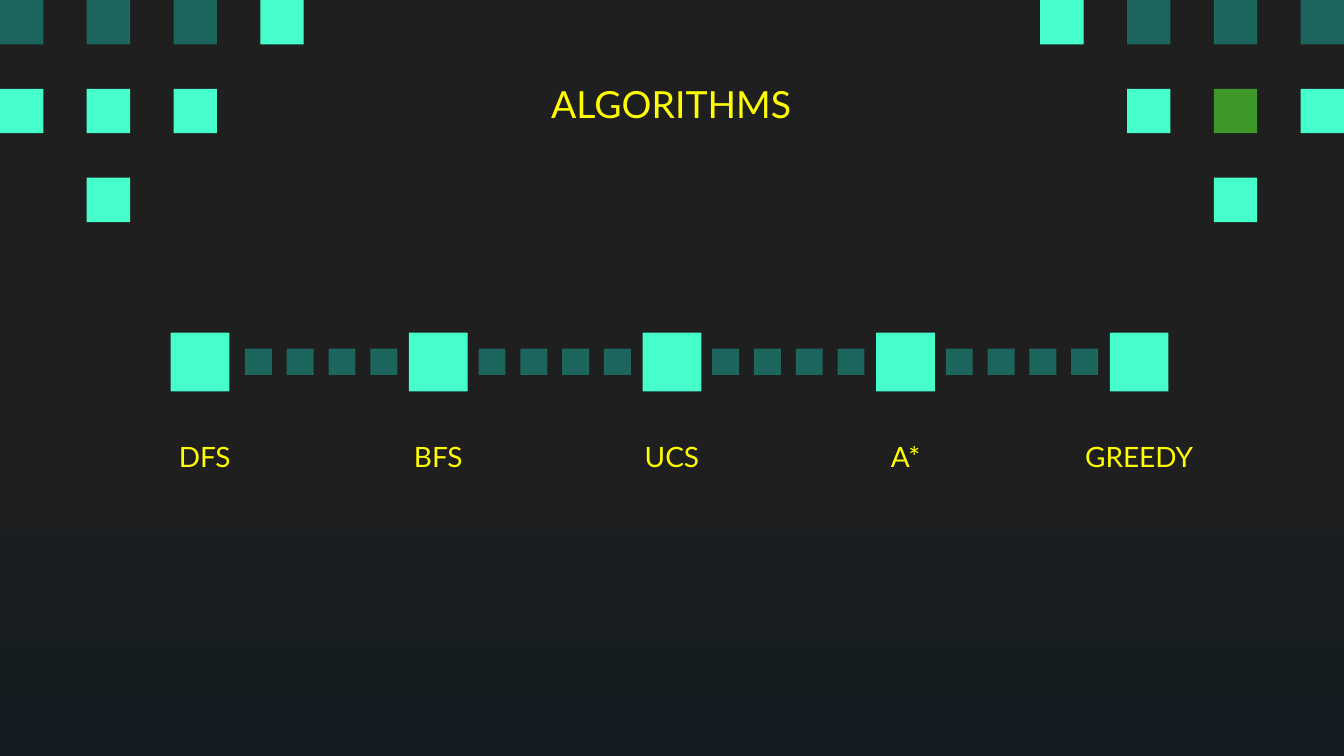
from pptx import Presentation
from pptx.dml.color import RGBColor as Rgb
from pptx.enum.shapes import MSO_SHAPE as Shape
from pptx.enum.text import MSO_ANCHOR as Anchor, MSO_AUTO_SIZE as Auto, PP_ALIGN as Align
from pptx.util import Cm, Pt

MINT, TEAL, GREEN, YELLOW = "45FECB", "1C665D", "3E9829", "FFFF00"
TINTS = {"M": MINT, "T": TEAL, "G": GREEN}


def paint(color, tint):
    color.rgb = Rgb.from_string(tint)


def block(slide, x, y, w, h, tint):
    shape = slide.shapes.add_shape(Shape.RECTANGLE, Cm(x), Cm(y), Cm(w), Cm(h))
    shape.shadow.inherit = False
    shape.fill.solid()
    paint(shape.fill.fore_color, tint)
    shape.line.fill.background()


def write(shape, text, size, gap=1.0):
    frame = shape.text_frame
    frame.text = text
    frame.word_wrap = True
    frame.auto_size = Auto.NONE
    frame.vertical_anchor = Anchor.MIDDLE
    frame.margin_left = frame.margin_right = Cm(0.25)
    frame.margin_top = frame.margin_bottom = Cm(0.25)
    para = frame.paragraphs[0]
    para.alignment = Align.CENTER
    para.line_spacing = gap
    font = para.runs[0].font
    font.name, font.size = "Lato", Pt(size)
    paint(font.color, YELLOW)


def backdrop(slide):
    fill = slide.background.fill
    fill.gradient()
    fill.gradient_angle = 270
    first, last = fill.gradient_stops
    first.position, last.position = 0.56, 1
    paint(first.color, "1F1F1F")
    paint(last.color, "141C21")


def corner(slide, x, y, w, h, rows):
    side, tall = w / 7, h / 5
    for row, line in enumerate(rows):
        for col, key in enumerate(line):
            if key in TINTS:
                block(slide, x + 2 * col * side, y + 2 * row * tall, side, tall, TINTS[key])


def heading(slide, x, y, w, h, text):
    title = slide.shapes.title
    title.left, title.top, title.width, title.height = Cm(x), Cm(y), Cm(w), Cm(h)
    write(title, text, 20)


def timeline(slide, x, y, w, h, names):
    wide, tall, side = 3.78, 0.84, 1.11
    step = (w - wide) / (len(names) - 1)
    for i, name in enumerate(names):
        left = x + i * step
        mid = left + wide / 2
        label = slide.shapes.add_textbox(Cm(left), Cm(y + h - tall), Cm(wide), Cm(tall))
        write(label, name, 15, 1.15)
        nudge = 0.09 if i == 0 else 0
        block(slide, mid - side / 2 - nudge, y, side, side, MINT)
        if i < len(names) - 1:
            for dot in range(4):
                block(slide, mid + 0.76 + dot * 0.79, y + 0.3, 0.51, 0.5, TEAL)


def main():
    deck = Presentation()
    deck.slide_width, deck.slide_height = Cm(25.4), Cm(14.29)
    slide = deck.slides.add_slide(deck.slide_layouts[5])
    backdrop(slide)
    corner(slide, 0, 0, 5.74, 4.2, ["TTTM", "MMM", " M"])
    corner(slide, 19.66, 0, 5.74, 4.2, ["MTTT", " MGM", "  M"])
    heading(slide, 1.98, 1.5, 21.41, 0.91, "ALGORITHMS")
    timeline(slide, 1.98, 6.29, 21.44, 2.7, ["DFS", "BFS", "UCS", "A*", "GREEDY"])
    deck.save("out.pptx")


if __name__ == "__main__":
    main()
